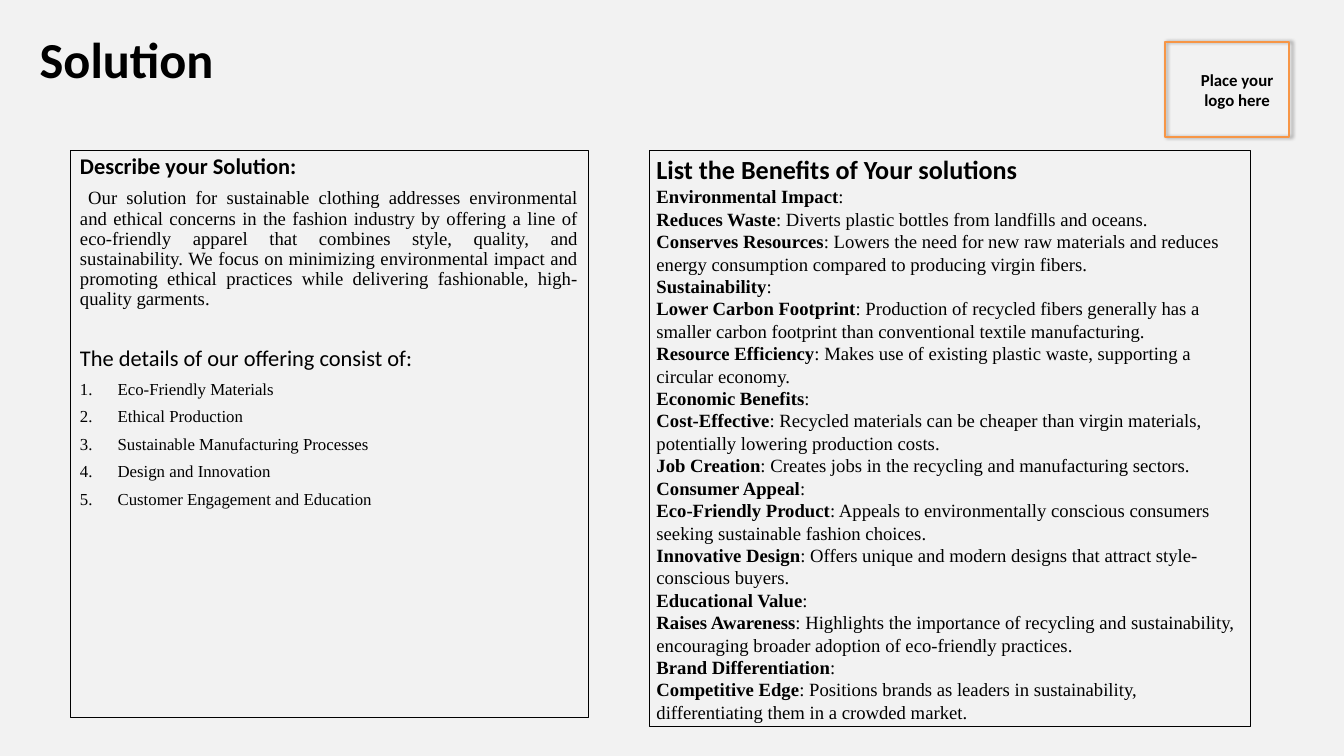
"""Build the Solution slide: a description box and a benefits box."""
from lxml import etree
from pptx import Presentation
from pptx.dml.color import RGBColor
from pptx.enum.shapes import MSO_SHAPE
from pptx.enum.text import MSO_ANCHOR, PP_ALIGN
from pptx.oxml import parse_xml
from pptx.oxml.ns import nsdecls, qn
from pptx.util import Inches, Pt

BLACK = RGBColor(0x00, 0x00, 0x00)
ORANGE = RGBColor(0xF7, 0x96, 0x46)
BACKGROUND = RGBColor(0xF2, 0xF2, 0xF2)
SANS, SERIF = "Calibri", "Times New Roman"
RECT = MSO_SHAPE.RECTANGLE
TOP = MSO_ANCHOR.TOP
LEFT, CENTER, JUSTIFY = PP_ALIGN.LEFT, PP_ALIGN.CENTER, PP_ALIGN.JUSTIFY

SUMMARY = (
    "Our solution for sustainable clothing addresses environmental and ethical "
    "concerns in the fashion industry by offering a line of eco-friendly apparel "
    "that combines style, quality, and sustainability. We focus on minimizing "
    "environmental impact and promoting ethical practices while delivering "
    "fashionable, high-quality garments."
)
OFFERINGS = [
    "Eco-Friendly Materials",
    "Ethical Production",
    "Sustainable Manufacturing Processes",
    "Design and Innovation",
    "Customer Engagement and Education",
]
BENEFITS = [
    ("Environmental Impact", ":"),
    ("Reduces Waste", ": Diverts plastic bottles from landfills and oceans."),
    ("Conserves Resources", ": Lowers the need for new raw materials and reduces "
     "energy consumption compared to producing virgin fibers."),
    ("Sustainability", ":"),
    ("Lower Carbon Footprint", ": Production of recycled fibers generally has a "
     "smaller carbon footprint than conventional textile manufacturing."),
    ("Resource Efficiency", ": Makes use of existing plastic waste, supporting a "
     "circular economy."),
    ("Economic Benefits", ":"),
    ("Cost-Effective", ": Recycled materials can be cheaper than virgin materials, "
     "potentially lowering production costs."),
    ("Job Creation", ": Creates jobs in the recycling and manufacturing sectors."),
    ("Consumer Appeal", ":"),
    ("Eco-Friendly Product", ": Appeals to environmentally conscious consumers "
     "seeking sustainable fashion choices."),
    ("Innovative Design", ": Offers unique and modern designs that attract "
     "style-conscious buyers."),
    ("Educational Value", ":"),
    ("Raises Awareness", ": Highlights the importance of recycling and "
     "sustainability, encouraging broader adoption of eco-friendly practices."),
    ("Brand Differentiation", ":"),
    ("Competitive Edge", ": Positions brands as leaders in sustainability, "
     "differentiating them in a crowded market."),
]


def add_run(p, text, size=20, font=SERIF, bold=False):
    """Append a formatted run to a paragraph."""
    r = p.add_run()
    r.text = text
    r.font.size = Pt(size)
    r.font.name = font
    r.font.bold = bold
    r.font.color.rgb = BLACK


def add_paragraph(tf, text="", align=LEFT, spacing=None, before=0, **fmt):
    """Fill the first empty paragraph or add one, and return it."""
    first = tf.paragraphs[0]
    p = tf.add_paragraph() if first.runs else first
    p.alignment = align
    p.space_before = Pt(before)
    if spacing:
        p.line_spacing = spacing
    if text:
        add_run(p, text, **fmt)
    return p


def number_paragraph(p):
    """Give a paragraph a hanging automatic number."""
    ppr = p._p.get_or_add_pPr()
    ppr.set("marL", str(Inches(0.56)))
    ppr.set("indent", str(-Inches(0.56)))
    etree.SubElement(ppr, qn("a:buFont"), typeface="+mj-lt")
    etree.SubElement(ppr, qn("a:buAutoNum"), type="arabicPeriod")


def set_frame(s, inset_x, inset_y):
    """Set wrapping, top anchor and insets, and return the text frame."""
    tf = s.text_frame
    tf.word_wrap = True
    tf.vertical_anchor = TOP
    tf.margin_left = tf.margin_right = Inches(inset_x)
    tf.margin_top = tf.margin_bottom = Inches(inset_y)
    return tf


def add_text(slide, x, y, w, h, inset_x, inset_y):
    """Add a text box and return its text frame."""
    s = slide.shapes.add_textbox(Inches(x), Inches(y), Inches(w), Inches(h))
    return set_frame(s, inset_x, inset_y)


def add_box(slide, x, y, w, h, color=BLACK, width=0.75):
    """Add an unfilled outlined rectangle."""
    s = slide.shapes.add_shape(RECT, Inches(x), Inches(y), Inches(w), Inches(h))
    s.shadow.inherit = False
    s.fill.background()
    s.line.color.rgb = color
    s.line.width = Pt(width)
    return s


def add_shadow(s):
    """Give a shape a soft shadow to its right."""
    effects = s._element.spPr.find(qn("a:effectLst"))
    effects.append(parse_xml(
        f'<a:outerShdw {nsdecls("a")} blurRad="{Pt(4)}" dist="{Pt(3)}" dir="0" '
        'rotWithShape="0"><a:srgbClr val="000000"><a:alpha val="40000"/>'
        '</a:srgbClr></a:outerShdw>'))


def add_description(slide):
    """Add the box that describes the solution."""
    tf = set_frame(add_box(slide, 1.04, 2.24, 7.71, 8.43), 0.15, 0.07)
    body = {"spacing": 0.9, "before": 10}
    add_paragraph(tf, "Describe your Solution:", size=24, font=SANS, bold=True, **body)
    p = add_paragraph(tf, " ", align=JUSTIFY, size=18, font=SANS, **body)
    add_run(p, SUMMARY)
    add_paragraph(tf, "The details of our offering consist of:", size=24, font=SANS,
                  spacing=0.9, before=40)
    for offering in OFFERINGS:
        number_paragraph(add_paragraph(tf, offering, size=18, **body))


def add_benefits(slide):
    """Add the box that lists the benefits."""
    tf = set_frame(add_box(slide, 9.67, 2.24, 8.94, 8.57), 0.1, 0.05)
    add_paragraph(tf, "List the Benefits of Your solutions", size=28, font=SANS,
                  bold=True)
    for name, detail in BENEFITS:
        add_run(add_paragraph(tf, name, bold=True), detail)


def main():
    """Build and save the slide."""
    prs = Presentation()
    prs.slide_width, prs.slide_height = Inches(20), Inches(11.25)
    slide = prs.slides.add_slide(prs.slide_layouts[6])
    slide.background.fill.solid()
    slide.background.fill.fore_color.rgb = BACKGROUND

    title = add_text(slide, 0.44, 0.03, 12.41, 1.29, 0.15, 0.07)
    add_paragraph(title, "Solution", size=54, font=SANS, bold=True, spacing=Pt(87.5))
    add_description(slide)
    label = add_text(slide, 17.63, 0.99, 1.56, 0.68, 0.07, 0.04)
    add_paragraph(label, "Place your logo here", align=CENTER, size=18, font=SANS,
                  bold=True)
    add_shadow(add_box(slide, 17.33, 0.63, 1.85, 1.41, color=ORANGE, width=2))
    add_benefits(slide)
    prs.save("out.pptx")


if __name__ == "__main__":
    main()
